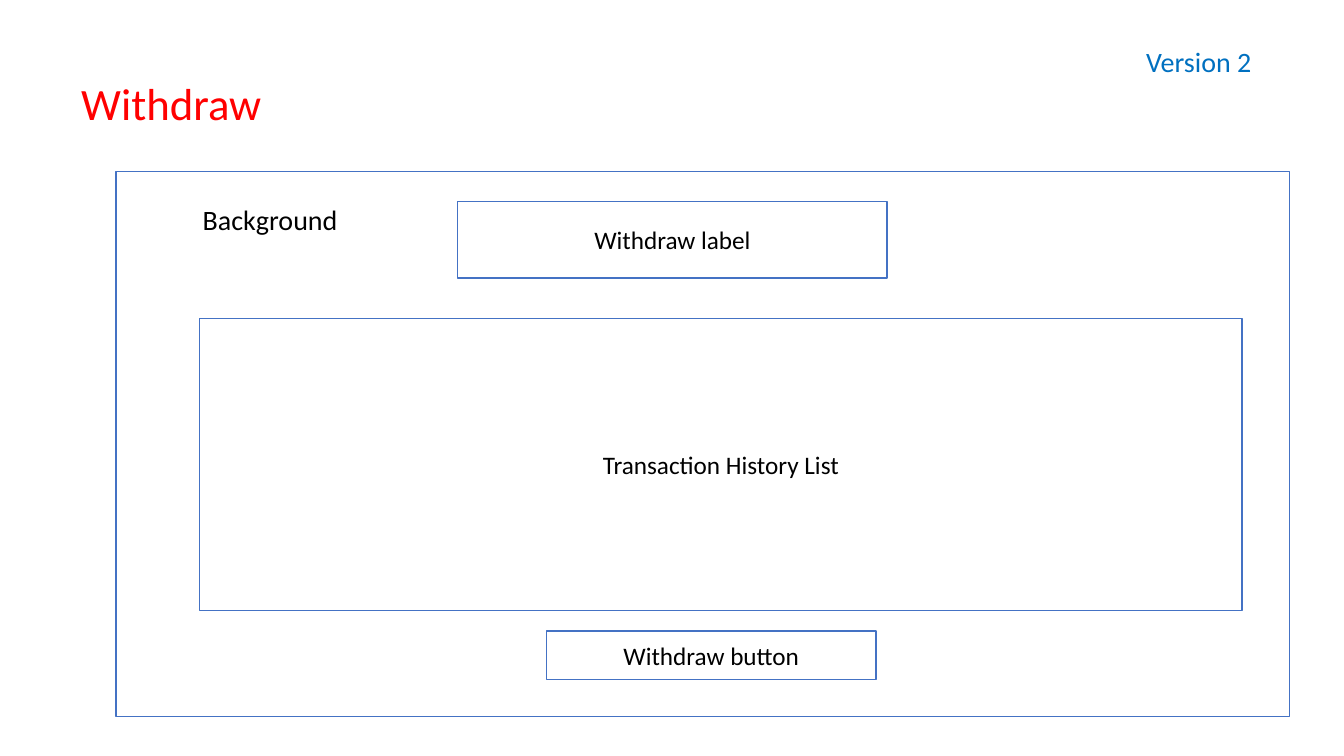
import pptx
import pptx.dml.color
import pptx.enum.shapes
import pptx.enum.text
import pptx.util

Inches = pptx.util.Inches
FONT = "Calibri"
RED, BLUE, BLACK, WHITE, OUTLINE = "FF0000", "0070C0", "000000", "FFFFFF", "4472C4"
CAPTION_WIDTH, CAPTION_HEIGHT = 2.9, 0.65


def color(value):
    return pptx.dml.color.RGBColor.from_string(value)


def write(paragraph, text, size, text_color):
    paragraph.alignment = pptx.enum.text.PP_ALIGN.CENTER
    run = paragraph.add_run()
    run.text = text
    run.font.name = FONT
    run.font.size = pptx.util.Pt(size)
    run.font.color.rgb = color(text_color)


def add_caption(slide, left, top, text, size, text_color):
    box = slide.shapes.add_textbox(
        Inches(left), Inches(top), Inches(CAPTION_WIDTH), Inches(CAPTION_HEIGHT))
    box.text_frame.word_wrap = True
    paragraph = box.text_frame.paragraphs[0]
    paragraph.line_spacing = 0.9
    paragraph.space_before = pptx.util.Pt(10)
    write(paragraph, text, size, text_color)


def add_panel(slide, left, top, width, height, text=None):
    panel = slide.shapes.add_shape(
        pptx.enum.shapes.MSO_SHAPE.RECTANGLE,
        Inches(left), Inches(top), Inches(width), Inches(height))
    panel.shadow.inherit = False
    panel.fill.solid()
    panel.fill.fore_color.rgb = color(WHITE)
    panel.line.color.rgb = color(OUTLINE)
    panel.line.width = pptx.util.Pt(1)
    if text:
        panel.text_frame.word_wrap = True
        panel.text_frame.vertical_anchor = pptx.enum.text.MSO_ANCHOR.MIDDLE
        write(panel.text_frame.paragraphs[0], text, 18, BLACK)


def add_header(slide, left, top):
    add_caption(slide, left, top + 0.33, "Withdraw", 32, RED)
    add_caption(slide, left + 10.19, top, "Version 2", 20, BLUE)


def add_wireframe(slide, left, top, width, height):
    # Screen background
    add_panel(slide, left, top, width, height)
    add_caption(slide, left + 0.08, top + 0.3, "Background", 20, BLACK)
    # Screen elements, from top to bottom
    add_panel(slide, left + 3.39, top + 0.3, 4.26, 0.76, "Withdraw label")
    add_panel(slide, left + 0.83, top + 1.46, 10.34, 2.9, "Transaction History List")
    add_panel(slide, left + 4.27, top + 4.56, 3.27, 0.48, "Withdraw button")


def main():
    presentation = pptx.Presentation()
    presentation.slide_width = Inches(13.33)
    presentation.slide_height = Inches(7.5)
    slide = presentation.slides.add_slide(presentation.slide_layouts[6])
    add_header(slide, 0.25, 0.43)
    add_wireframe(slide, 1.15, 1.7, 11.64, 5.41)
    presentation.save("out.pptx")


if __name__ == "__main__":
    main()
